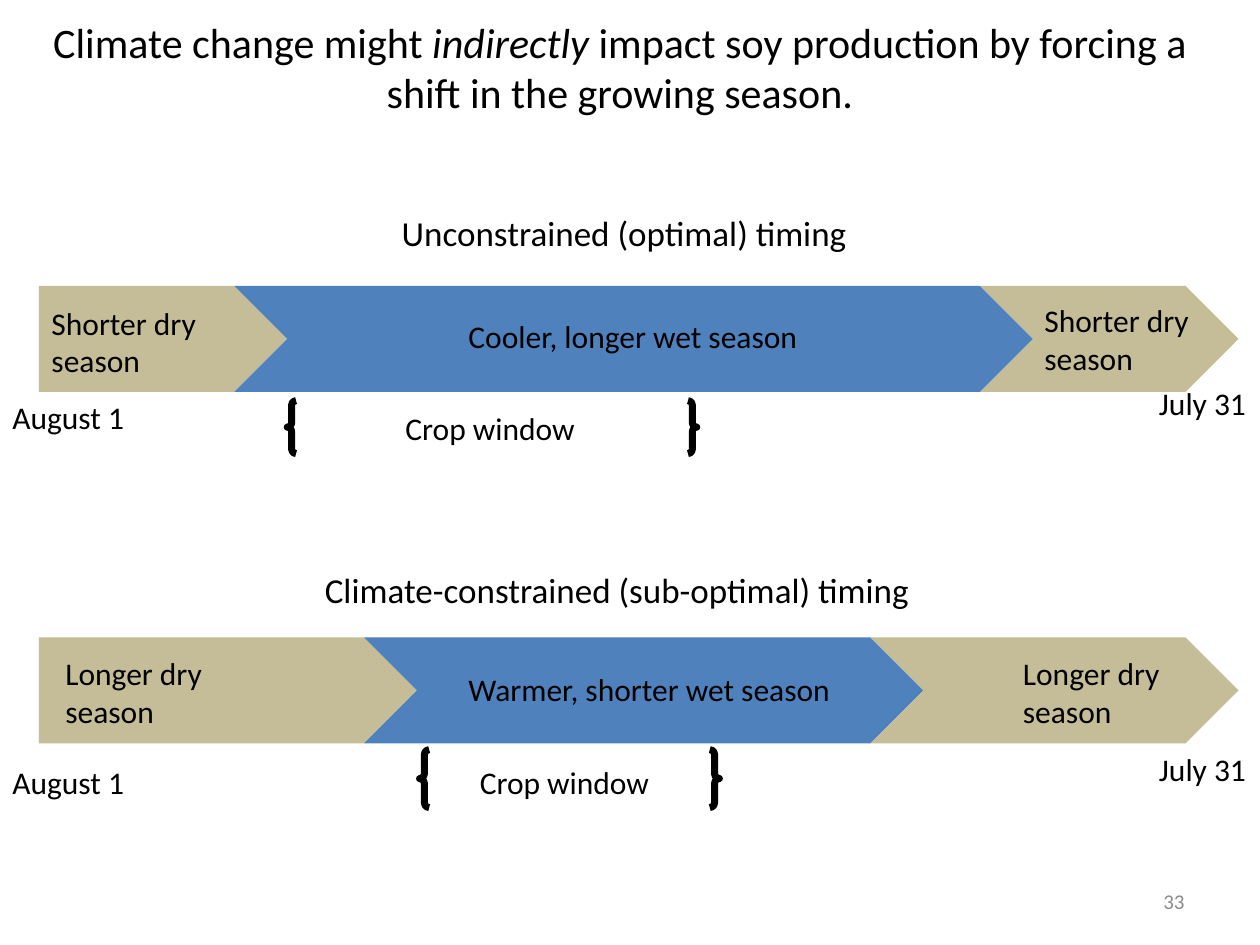
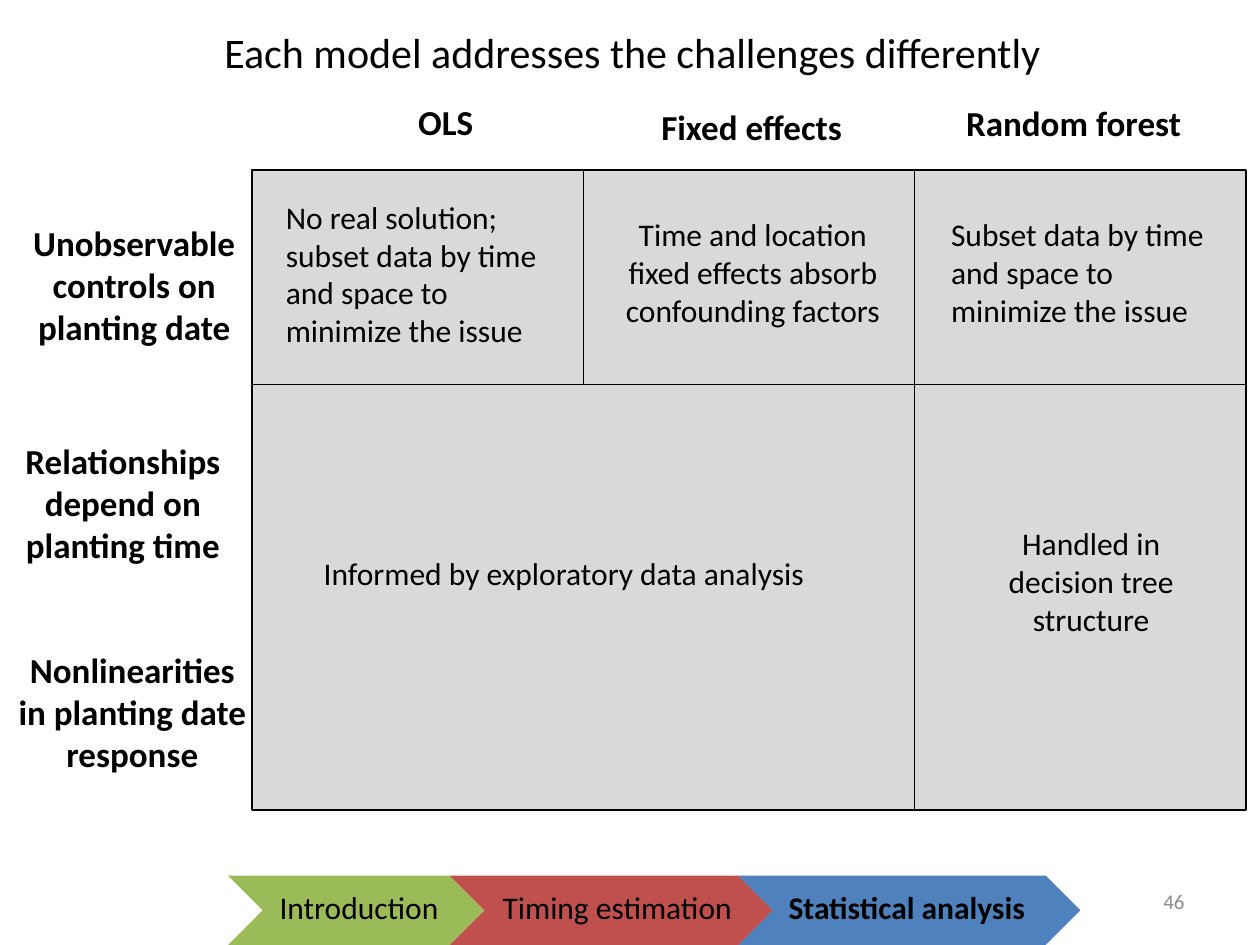
"""Builds two slides on soy growing seasons and on how models meet the challenges."""
from pptx import Presentation
from pptx.dml.color import RGBColor
from pptx.enum.shapes import MSO_SHAPE as Preset
from pptx.enum.text import MSO_ANCHOR as Anchor, MSO_AUTO_SIZE as AutoSize, PP_ALIGN as Align
from pptx.util import Inches, Pt

FONT = "Calibri"
BLACK = RGBColor(0x00, 0x00, 0x00)
SAND = RGBColor(0xC4, 0xBD, 0x97)
BLUE = RGBColor(0x4F, 0x81, 0xBD)
GREEN = RGBColor(0x9B, 0xBB, 0x59)
RED = RGBColor(0xC0, 0x50, 0x4D)
PALE_GREY = RGBColor(0xD9, 0xD9, 0xD9)
NUMBER_GREY = RGBColor(0x8C, 0x8C, 0x8C)

SEASON_TITLE = ("Climate change might ", "indirectly",
                " impact soy production by forcing a shift in the growing season.")
MODEL_TITLE = ("Each model addresses the challenges differently",)

SEASON_HEIGHT = 0.84
SEASON_COLOURS = (SAND, BLUE, SAND)
SCENARIOS = [
    {
        "top": 2.27,
        "edges": (0.31, 1.86, 7.78, 9.41),
        "heading": ("Unconstrained (optimal) timing", (3.09, 1.63, 3.77, 0.44)),
        "wet": ("Cooler, longer wet season", (3.62, 2.47, 2.87, 0.4)),
        "dry": ("Shorter dry season", [(0.31, 2.36, 1.35, 0.71), (8.19, 2.34, 1.35, 0.71)]),
        "dates_top": 3.11,
        "braces": (2.28, 3.18, 3.25, 0.42),
        "window": (3.12, 3.2, 1.56, 0.4),
    },
    {
        "top": 5.06,
        "edges": (0.31, 2.89, 6.91, 9.41),
        "heading": ("Climate-constrained (sub-optimal) timing", (2.48, 4.46, 4.96, 0.44)),
        "wet": ("Warmer, shorter wet season", (3.62, 5.27, 3.14, 0.4)),
        "dry": ("Longer dry season", [(0.42, 5.14, 1.35, 0.71), (8.02, 5.14, 1.35, 0.71)]),
        "dates_top": 6.01,
        "braces": (3.33, 5.95, 2.38, 0.46),
        "window": (3.71, 6.01, 1.56, 0.4),
    },
]

GRID_LEFT, COLUMN_WIDTH = 2.0, 2.63
ROW_EDGES = (1.35, 3.05, 6.43)
GRID_CELLS = [(0, 0, 1), (0, 1, 1), (0, 2, 1), (1, 0, 2), (1, 2, 1)]
MODELS = [
    ("OLS", (3.22, 0.75, 0.64, 0.44)),
    ("Fixed effects", (5.15, 0.79, 1.66, 0.44)),
    ("Random forest", (7.57, 0.76, 1.93, 0.44)),
]
CHALLENGES = [
    ("Unobservable controls on planting date", (0.09, 1.71, 1.95, 1.11)),
    ("Relationships depend on planting time", (0.07, 3.44, 1.81, 1.11)),
    ("Nonlinearities in planting date response", (0.04, 5.1, 2.02, 1.11)),
]
ANSWERS = [
    ("No real solution; subset data by time and space to minimize the issue",
     (2.17, 1.52, 2.34, 1.31), Align.LEFT),
    ("Time and location fixed effects absorb confounding factors",
     (4.85, 1.66, 2.25, 1.01), Align.CENTER),
    ("Subset data by time and space to minimize the issue",
     (7.45, 1.66, 2.27, 1.01), Align.LEFT),
    ("Informed by exploratory data analysis", (2.47, 4.35, 4.49, 0.4), Align.LEFT),
    ("Handled in decision tree structure", (7.69, 4.11, 1.94, 1.01), Align.CENTER),
]

AGENDA_TOP, AGENDA_HEIGHT = 6.95, 0.55
AGENDA_EDGES = (1.81, 3.57, 5.86, 8.3)
AGENDA_COLOURS = (GREEN, RED, BLUE)
AGENDA = [
    ("Introduction", 2.12, 1.51, False),
    ("Timing estimation", 3.89, 2.09, False),
    ("Statistical analysis", 6.16, 2.11, True),
]


def inches(area):
    return [Inches(length) for length in area]


def style(font, size, colour=BLACK, bold=False):
    font.name, font.size, font.bold = FONT, Pt(size), bold
    font.color.rgb = colour


def add_label(shapes, text, area, size=18, align=Align.LEFT, bold=False, wrap=True,
              colour=BLACK, anchor=Anchor.TOP):
    frame = shapes.add_textbox(*inches(area)).text_frame
    frame.word_wrap = wrap
    frame.vertical_anchor = anchor
    frame.text = text
    para = frame.paragraphs[0]
    para.alignment = align
    style(para.runs[0].font, size, colour, bold)


def add_preset(shapes, preset, area, fill=None, line_width=0):
    shape = shapes.add_shape(preset, *inches(area))
    shape.shadow.inherit = False
    if fill is None:
        shape.fill.background()
    else:
        shape.fill.solid()
        shape.fill.fore_color.rgb = fill
    if line_width:
        shape.line.color.rgb = BLACK
        shape.line.width = Pt(line_width)
    else:
        shape.line.fill.background()


def add_ribbon(shapes, top, height, edges, colours, first=Preset.CHEVRON):
    """Lays arrows end to end, each point filling the notch of the next."""
    point = height / 2
    for index, colour in enumerate(colours):
        width = edges[index + 1] - edges[index] + point
        preset = Preset.CHEVRON if index else first
        add_preset(shapes, preset, (edges[index], top, width, height), colour)


def add_page(deck, title_parts, title_area, number):
    page = deck.slides.add_slide(deck.slide_layouts[5])
    title = page.shapes.title
    title.left, title.top, title.width, title.height = inches(title_area)
    frame = title.text_frame
    frame.auto_size = AutoSize.NONE
    frame.vertical_anchor = Anchor.TOP
    para = frame.paragraphs[0]
    para.alignment = Align.CENTER
    for index, part in enumerate(title_parts):
        span = para.add_run()
        span.text = part
        style(span.font, 24)
        span.font.italic = index == 1
    add_label(page.shapes, number, (7.17, 6.95, 2.33, 0.4), 12, Align.RIGHT,
              colour=NUMBER_GREY, anchor=Anchor.MIDDLE)
    return page


def build_seasons(deck):
    shapes = add_page(deck, SEASON_TITLE, (0, 0.08, 9.84, 0.91), "33").shapes
    for scenario in SCENARIOS:
        add_ribbon(shapes, scenario["top"], SEASON_HEIGHT, scenario["edges"],
                   SEASON_COLOURS, Preset.PENTAGON)
        add_label(shapes, *scenario["heading"], size=20, wrap=False)
        add_label(shapes, *scenario["wet"], wrap=False)
        dry_text, dry_areas = scenario["dry"]
        for area in dry_areas:
            add_label(shapes, dry_text, area)
        dates_top = scenario["dates_top"]
        add_label(shapes, "August 1", (0, dates_top, 1.1, 0.4), wrap=False)
        add_label(shapes, "July 31", (9.1, dates_top - 0.11, 0.9, 0.4), wrap=False)
        add_preset(shapes, Preset.DOUBLE_BRACE, scenario["braces"], line_width=4)
        add_label(shapes, "Crop window", scenario["window"], wrap=False)


def build_models(deck):
    shapes = add_page(deck, MODEL_TITLE, (1.02, 0.16, 8, 0.5), "46").shapes
    for row, column, span in GRID_CELLS:
        top, bottom = ROW_EDGES[row:row + 2]
        area = (GRID_LEFT + column * COLUMN_WIDTH, top, span * COLUMN_WIDTH, bottom - top)
        add_preset(shapes, Preset.RECTANGLE, area, PALE_GREY, 0.75)
    for text, area in MODELS:
        add_label(shapes, text, area, 20, bold=True, wrap=False)
    for text, area in CHALLENGES:
        add_label(shapes, text, area, 20, Align.CENTER, bold=True)
    for text, area, align in ANSWERS:
        add_label(shapes, text, area, align=align)
    agenda = shapes.add_group_shape().shapes
    add_ribbon(agenda, AGENDA_TOP, AGENDA_HEIGHT, AGENDA_EDGES, AGENDA_COLOURS)
    for text, left, width, current in AGENDA:
        add_label(agenda, text, (left, AGENDA_TOP + 0.05, width, 0.4), bold=current, wrap=False)


def main():
    deck = Presentation()
    deck.slide_width, deck.slide_height = Inches(10), Inches(7.5)
    build_seasons(deck)
    build_models(deck)
    deck.save("out.pptx")


if __name__ == "__main__":
    main()
